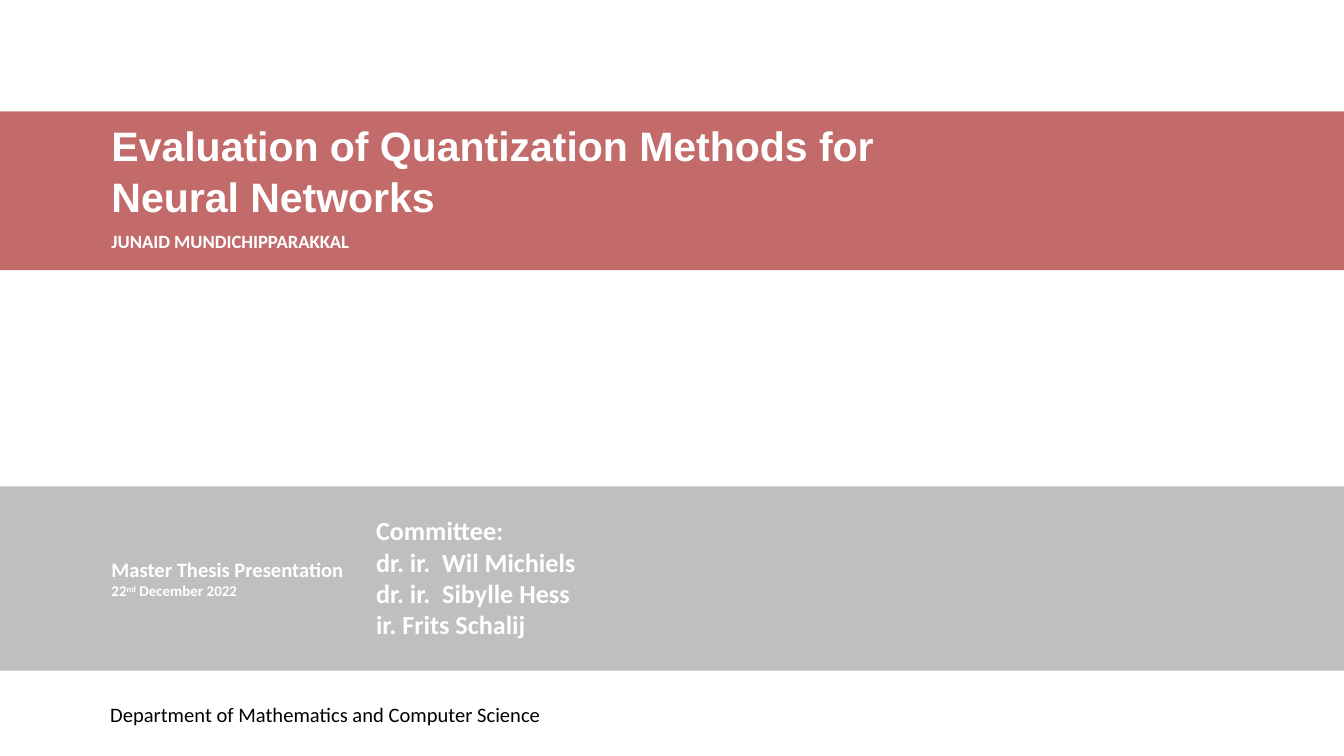
from pptx import Presentation
from pptx import util as u
from pptx.dml.color import RGBColor
from pptx.enum import shapes, text
from pptx.oxml.ns import qn
from lxml import etree


class Theme:
    red = RGBColor(0xC8, 0x19, 0x19)
    black = RGBColor(0, 0, 0)
    white = RGBColor(255, 255, 255)
    heading = "Arial"
    body = "Calibri"
    title = u.Pt(22)
    committee = u.Pt(14)
    label = u.Pt(11)
    author = u.Pt(10)
    date = u.Pt(8)


def add_band(slide, left, top, width, height, color, opacity=100):
    sp = slide.shapes.add_shape(
        shapes.MSO_SHAPE.RECTANGLE,
        u.Inches(left), u.Inches(top), u.Inches(width), u.Inches(height))
    sp.shadow.inherit = False
    sp.line.fill.background()
    sp.fill.solid()
    sp.fill.fore_color.rgb = color
    if opacity < 100:
        clr = sp._element.spPr.find(qn("a:solidFill")).find(qn("a:srgbClr"))
        etree.SubElement(clr, qn("a:alpha")).set("val", str(opacity * 1000))
    return sp


def write(sp, lines, size, color, insets, anchor, bold=True, font=Theme.body):
    tf = sp.text_frame
    tf.word_wrap = True
    tf.vertical_anchor = anchor
    tf.margin_left, tf.margin_top, tf.margin_right, tf.margin_bottom = map(u.Inches, insets)
    tf.text = "\n".join(lines)
    for p in tf.paragraphs:
        p.alignment = text.PP_ALIGN.LEFT
        p.font.name = font
        p.font.size = size
        p.font.bold = bold
        p.font.color.rgb = color
    return tf


TOP = text.MSO_ANCHOR.TOP
MIDDLE = text.MSO_ANCHOR.MIDDLE
MARGIN = 0.83

prs = Presentation()
prs.slide_width = u.Inches(10)
prs.slide_height = u.Inches(10 * 9 / 16)
s = prs.slides.add_slide(prs.slide_layouts[6])

add_band(s, 0, 0.83, 10, 1.18, Theme.black, 25)

title = add_band(s, 0, 0.83, 10, 0.86, Theme.red, 50)
tf = write(title, ["Evaluation of Quantization Methods for\vNeural Networks"],
           Theme.title, Theme.white, (MARGIN, 0, 2.15, 0), MIDDLE, font=Theme.heading)
tf.paragraphs[0].line_spacing = 1.05

author = add_band(s, 0, 1.69, 10, 0.32, Theme.red, 50)
write(author, ["JUNAID MUNDICHIPPARAKKAL"],
      Theme.author, Theme.white, (MARGIN, 0.02, 2.15, 0), TOP)

occasion = add_band(s, 0, 3.62, 10, 1.37, Theme.black, 25)
tf = write(occasion, ["Master Thesis Presentation", ""],
           Theme.label, Theme.white, (MARGIN, 0, 0, 0), MIDDLE)
p = tf.paragraphs[1]
p.font.size = Theme.date
for part, baseline in (("22", 0), ("nd", 30000), (" December 2022", 0)):
    r = p.add_run()
    r.text = part
    if baseline:
        r._r.get_or_add_rPr().set("baseline", str(baseline))

department = add_band(s, -0.01, 5, 8.04, 0.63, Theme.white)
write(department, ["Department of Mathematics and Computer Science"],
      Theme.label, Theme.black, (MARGIN, 0, 0, 0), MIDDLE, bold=False)

committee = s.shapes.add_textbox(u.Inches(2.7), u.Inches(3.78), u.Inches(3.3), u.Inches(1.04))
write(committee,
      ["Committee:", "dr. ir.  Wil Michiels", "dr. ir.  Sibylle Hess", "ir. Frits Schalij"],
      Theme.committee, Theme.white, (0.1, 0.05, 0.1, 0.05), TOP)
committee.text_frame.auto_size = text.MSO_AUTO_SIZE.SHAPE_TO_FIT_TEXT

prs.save("out.pptx")
